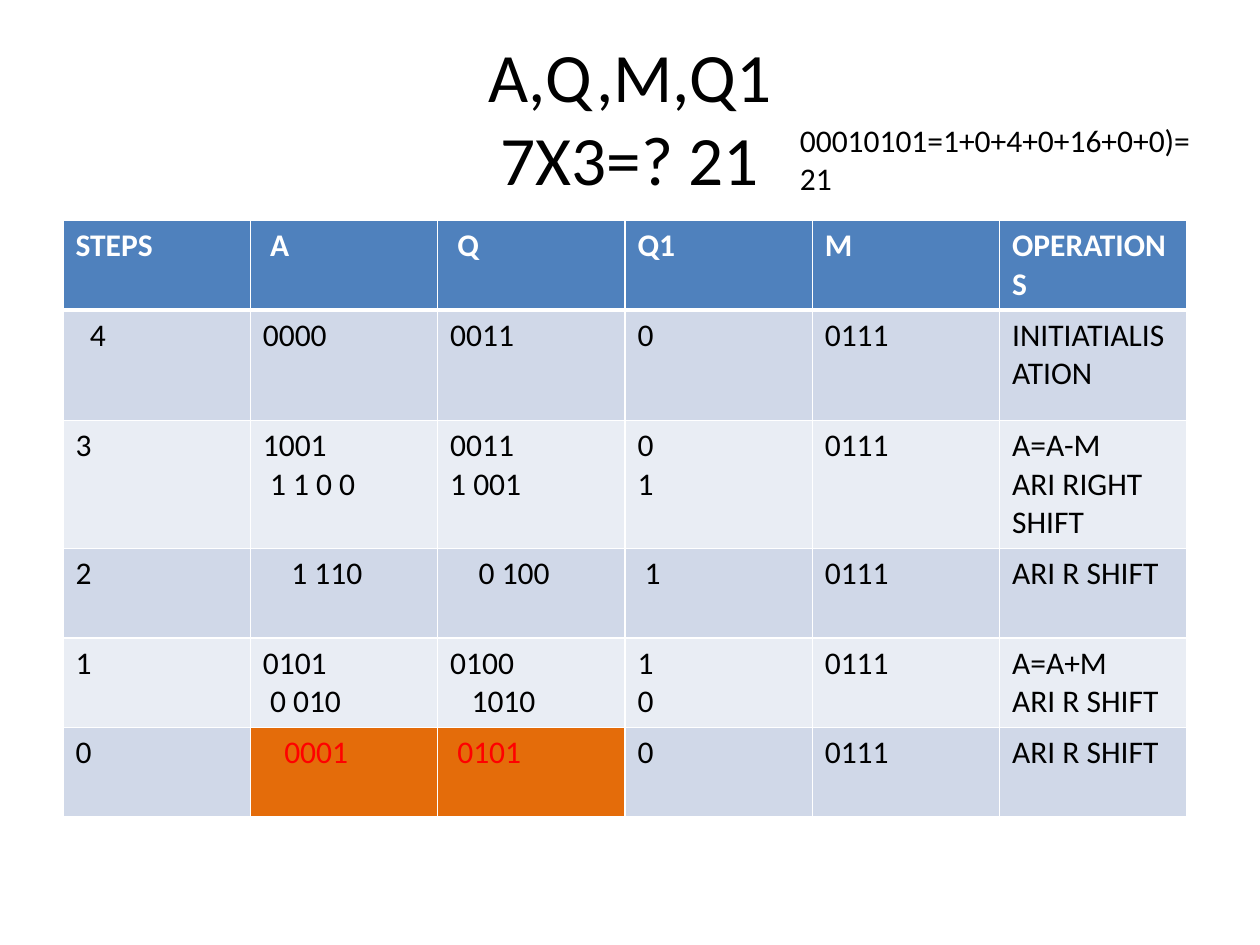
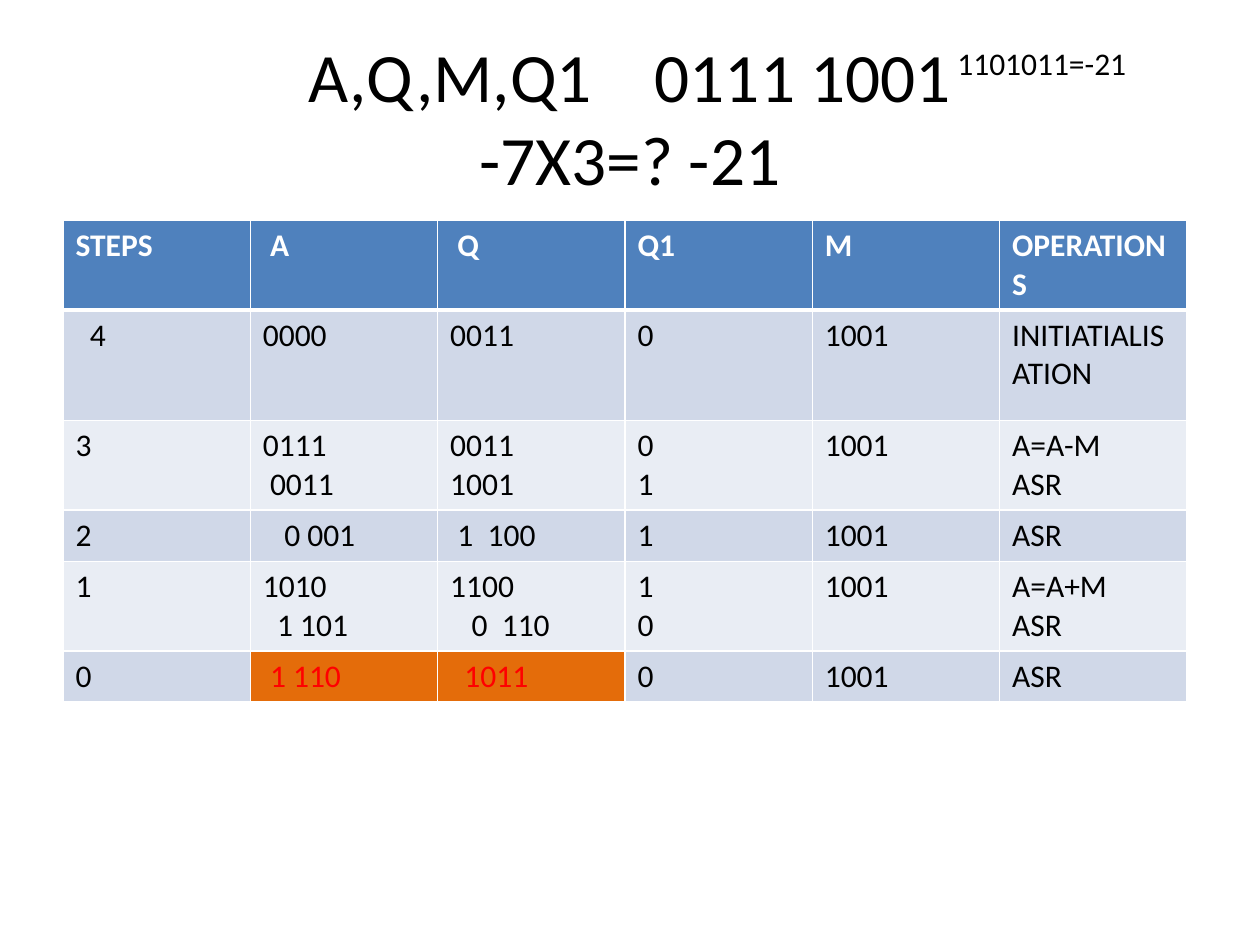
import dataclasses

import lxml.etree
import pptx
import pptx.dml.color
import pptx.enum.text
import pptx.oxml.ns
import pptx.util

# Content grammar: in a line tuple, a leading number is an indent and a later
# number is a gap, both counted in widths of one space.
HEADINGS = ["STEPS", (1, "A"), (1, "Q"), "Q1", "M", "OPERATIONS"]
START = [(2, "4"), "0000", "0011", "0", "INITIATIALISATION"]
PAGES = [
    {
        "title": ["A,Q,M,Q1", "7X3=? 21"],
        "multiplicand": "0111",
        "steps": [
            START,
            ["3", ["1001", (1, "1 1 0 0")], ["0011", "1 001"], ["0", "1"],
             ["A=A-M", "ARI RIGHT SHIFT"]],
            ["2", (4, "1 110"), (4, "0 100"), (1, "1"), "ARI R SHIFT"],
            ["1", ["0101", (1, "0 010")], ["0100", (3, "1010")], ["1", "0"],
             ["A=A+M", "ARI R SHIFT"]],
            ["0", (3, "0001"), (1, "0101"), "0", "ARI R SHIFT"],
        ],
        "lines_high": [2, 2.55, 3, 2, 2, 2],
        "note": "00010101=1+0+4+0+16+0+0)=21",
        "note_place": (6.25, 0.3, 3.42, 1.31),
    },
    {
        "title": [("A,Q,M,Q1", 4, "0111 1001"), "-7X3=? -21"],
        "multiplicand": "1001",
        "steps": [
            START,
            ["3", ["0111", (1, "0011")], ["0011", "1001"], ["0", "1"],
             ["A=A-M", "ASR"]],
            ["2", (3, "0 001"), (1, "1", 2, "100"), "1", "ASR"],
            ["1", ["1010", (2, "1 101")], ["1100", (3, "0", 2, "110")], ["1", "0"],
             ["A=A+M", "ASR"]],
            ["0", (1, "1 110"), (2, "1011"), "0", "ASR"],
        ],
        "lines_high": [2, 2.55, 2, 1, 2, 1],
        "note": "1101011=-21",
        "note_place": (7.5, 0.3, 2.42, 0.4),
    },
]
RESULT_COLUMNS = (1, 2)


@dataclasses.dataclass(frozen=True)
class Theme:
    font: str = "Calibri"
    title_size: float = 39.6
    text_size: float = 18
    space_share: float = 0.226
    ink: str = "000000"
    white: str = "FFFFFF"
    header: str = "4F81BD"
    bands: tuple = ("E9EDF4", "D0D8E8")
    result_fill: str = "E46C0A"
    result_ink: str = "FF0000"
    rule: float = 1
    header_rule: float = 3


THEME = Theme()
WIDTH, HEIGHT = 10, 7.5
MARGIN = WIDTH * 0.05
TITLE_PLACE = (MARGIN, HEIGHT * 0.04, WIDTH - 2 * MARGIN, 1.25)
TABLE_TOP, TABLE_WIDTH = 1.75, 8.92
LINE_HEIGHT, CELL_PADDING = 0.305, 0.1


def inches(values):
    return [pptx.util.Inches(value) for value in values]


def rgb(value):
    return pptx.dml.color.RGBColor.from_string(value)


def add_span(para, text, size, color, bold=False):
    span = para.add_run()
    span.text = text
    span.font.name = THEME.font
    span.font.size = pptx.util.Pt(size)
    span.font.bold = bold
    span.font.color.rgb = rgb(color)
    return span


def write_line(para, line, size, color, bold=False):
    parts = (line,) if isinstance(line, str) else line
    space = size * THEME.space_share
    for index, part in enumerate(parts):
        if isinstance(part, str):
            add_span(para, part, size, color, bold)
        elif index == 0:
            props = para._p.get_or_add_pPr()
            props.set("marL", str(pptx.util.Pt(part * space)))
            props.set("indent", "0")
        else:
            gap = add_span(para, " ", size, color, bold)
            gap._r.get_or_add_rPr().set("spc", str(round((part - 1) * space * 100)))


def draw_borders(cell, top, bottom):
    qn = pptx.oxml.ns.qn
    props = cell._tc.get_or_add_tcPr()
    sides = {"lnL": THEME.rule, "lnR": THEME.rule, "lnT": top, "lnB": bottom}
    for side, points in sides.items():
        border = lxml.etree.SubElement(
            props, qn("a:" + side), w=str(pptx.util.Pt(points)))
        fill = lxml.etree.SubElement(border, qn("a:solidFill"))
        lxml.etree.SubElement(fill, qn("a:srgbClr"), val=THEME.white)


def cell_colors(row, column, last_row):
    if row == 0:
        return THEME.header, THEME.white
    if row == last_row and column in RESULT_COLUMNS:
        return THEME.result_fill, THEME.result_ink
    return THEME.bands[row % 2], THEME.ink


def add_title(page, lines):
    box = page.shapes.title
    box.left, box.top, box.width, box.height = inches(TITLE_PLACE)
    frame = box.text_frame
    frame.auto_size = pptx.enum.text.MSO_AUTO_SIZE.NONE
    frame.vertical_anchor = pptx.enum.text.MSO_ANCHOR.MIDDLE
    para = frame.paragraphs[0]
    para.alignment = pptx.enum.text.PP_ALIGN.CENTER
    for index, line in enumerate(lines):
        if index:
            para.add_line_break()
        write_line(para, line, THEME.title_size, THEME.ink)


def add_steps_table(page, content):
    rows = [HEADINGS] + [
        step[:4] + [content["multiplicand"]] + step[4:] for step in content["steps"]]
    heights = [CELL_PADDING + LINE_HEIGHT * lines for lines in content["lines_high"]]
    place = inches((MARGIN, TABLE_TOP, TABLE_WIDTH, sum(heights)))
    table = page.shapes.add_table(len(rows), len(HEADINGS), *place).table
    for column in table.columns:
        column.width = pptx.util.Inches(TABLE_WIDTH / len(HEADINGS))
    for r, (row, height) in enumerate(zip(rows, heights)):
        table.rows[r].height = pptx.util.Inches(height)
        for c, value in enumerate(row):
            cell = table.cell(r, c)
            fill, ink = cell_colors(r, c, len(rows) - 1)
            draw_borders(cell,
                         THEME.header_rule if r == 1 else THEME.rule,
                         THEME.header_rule if r == 0 else THEME.rule)
            cell.fill.solid()
            cell.fill.fore_color.rgb = rgb(fill)
            frame = cell.text_frame
            for index, line in enumerate(value if isinstance(value, list) else [value]):
                para = frame.add_paragraph() if index else frame.paragraphs[0]
                write_line(para, line, THEME.text_size, ink, bold=r == 0)


def add_note(page, text, place):
    frame = page.shapes.add_textbox(*inches(place)).text_frame
    frame.word_wrap = True
    frame.vertical_anchor = pptx.enum.text.MSO_ANCHOR.BOTTOM
    write_line(frame.paragraphs[0], text, THEME.text_size, THEME.ink)


def main():
    deck = pptx.Presentation()
    deck.slide_width, deck.slide_height = inches((WIDTH, HEIGHT))
    title_only = deck.slide_layouts[5]
    for content in PAGES:
        page = deck.slides.add_slide(title_only)
        add_title(page, content["title"])
        add_steps_table(page, content)
        add_note(page, content["note"], content["note_place"])
    deck.save("out.pptx")


if __name__ == "__main__":
    main()
